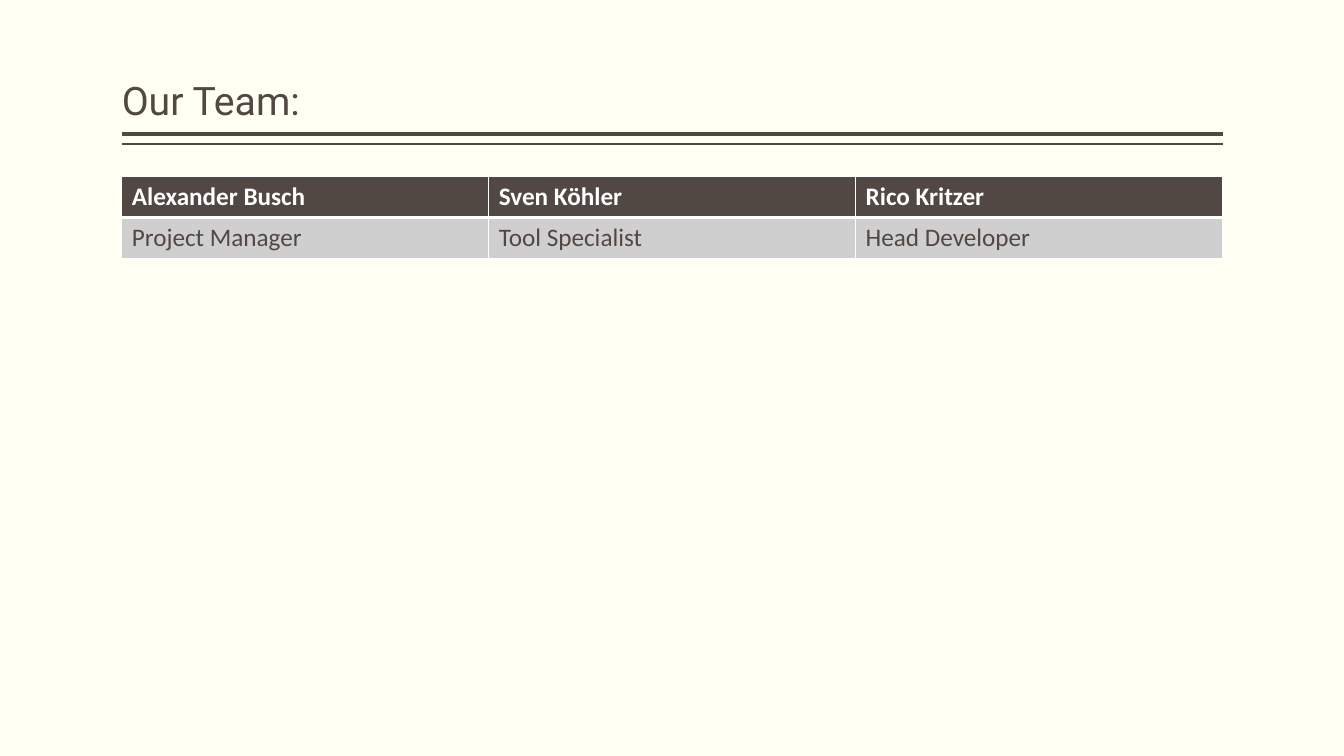
from dataclasses import dataclass

from lxml.etree import SubElement
from pptx import Presentation
from pptx.dml.color import RGBColor as Color
from pptx.enum.shapes import MSO_CONNECTOR as Connector
from pptx.enum.text import MSO_ANCHOR as Anchor, PP_ALIGN as Align
from pptx.oxml.ns import qn
from pptx.util import Cm, Pt

TITLE = "Our Team:"
TEAM = [
    ("Alexander Busch", "Project Manager"),
    ("Sven Köhler", "Tool Specialist"),
    ("Rico Kritzer", "Head Developer"),
]


@dataclass(frozen=True)
class Theme:
    background: str = "FFFFF3"
    dark: str = "514843"
    light: str = "FFFFFF"
    band: str = "D0CFCF"
    title_font: str = "Roboto"
    body_font: str = "Calibri"
    title_size: int = 28
    body_size: int = 18


THEME = Theme()
LEFT, WIDTH = 3.07, 27.74
TITLE_TOP, TITLE_HEIGHT = 0.2, 3.05
RULES = [(3.38, 3), (3.63, 1)]  # top in cm, weight in points
TABLE_TOP, ROW_HEIGHT = 4.45, 1.03
THIN, THICK = 1, 3


def write_text(frame, text, *, font, size, color, bold=False, line_spacing=1.0):
    paragraph = frame.paragraphs[0]
    paragraph.alignment = Align.LEFT
    paragraph.line_spacing = line_spacing
    run = paragraph.add_run()
    run.text = text
    run.font.name = font
    run.font.size = Pt(size)
    run.font.bold = bold
    run.font.color.rgb = Color.from_string(color)


def add_title(slide):
    title = slide.shapes.title
    title.left, title.top = Cm(LEFT), Cm(TITLE_TOP)
    title.width, title.height = Cm(WIDTH), Cm(TITLE_HEIGHT)
    frame = title.text_frame
    frame.word_wrap = True
    frame.vertical_anchor = Anchor.BOTTOM
    frame.margin_left = frame.margin_right = 0
    frame.margin_top = frame.margin_bottom = Cm(0.13)
    write_text(frame, TITLE, font=THEME.title_font, size=THEME.title_size,
               color=THEME.dark, line_spacing=0.9)


def add_rule(slide, top, weight):
    rule = slide.shapes.add_connector(
        Connector.STRAIGHT, Cm(LEFT + WIDTH), Cm(top), Cm(LEFT), Cm(top))
    rule.line.color.rgb = Color.from_string(THEME.dark)
    rule.line.width = Pt(weight)
    SubElement(rule._element.spPr, qn("a:effectLst"))


def add_borders(cell, **weights):
    """Draw light borders; keys are the sides L, R, T, B in schema order."""
    properties = cell._tc.get_or_add_tcPr()
    for side, weight in weights.items():
        line = SubElement(properties, qn(f"a:ln{side}"), w=str(Pt(weight)))
        fill = SubElement(line, qn("a:solidFill"))
        SubElement(fill, qn("a:srgbClr"), val=THEME.light)


def add_team_table(slide):
    rows = list(zip(*TEAM))
    table = slide.shapes.add_table(
        len(rows), len(TEAM), Cm(LEFT), Cm(TABLE_TOP),
        Cm(WIDTH), Cm(ROW_HEIGHT * len(rows))).table
    for row_index, texts in enumerate(rows):
        header = row_index == 0
        for column_index, text in enumerate(texts):
            cell = table.cell(row_index, column_index)
            add_borders(cell, L=THIN, R=THIN, T=THIN if header else THICK,
                        B=THICK if header else THIN)
            cell.fill.solid()
            cell.fill.fore_color.rgb = Color.from_string(
                THEME.dark if header else THEME.band)
            write_text(cell.text_frame, text, font=THEME.body_font,
                       size=THEME.body_size, bold=header,
                       color=THEME.light if header else THEME.dark)


def main():
    presentation = Presentation()
    presentation.slide_width, presentation.slide_height = Cm(33.87), Cm(19.05)
    slide = presentation.slides.add_slide(presentation.slide_layouts[5])
    slide.background.fill.solid()
    slide.background.fill.fore_color.rgb = Color.from_string(THEME.background)
    for top, weight in RULES:
        add_rule(slide, top, weight)
    add_title(slide)
    add_team_table(slide)
    presentation.save("out.pptx")


if __name__ == "__main__":
    main()
